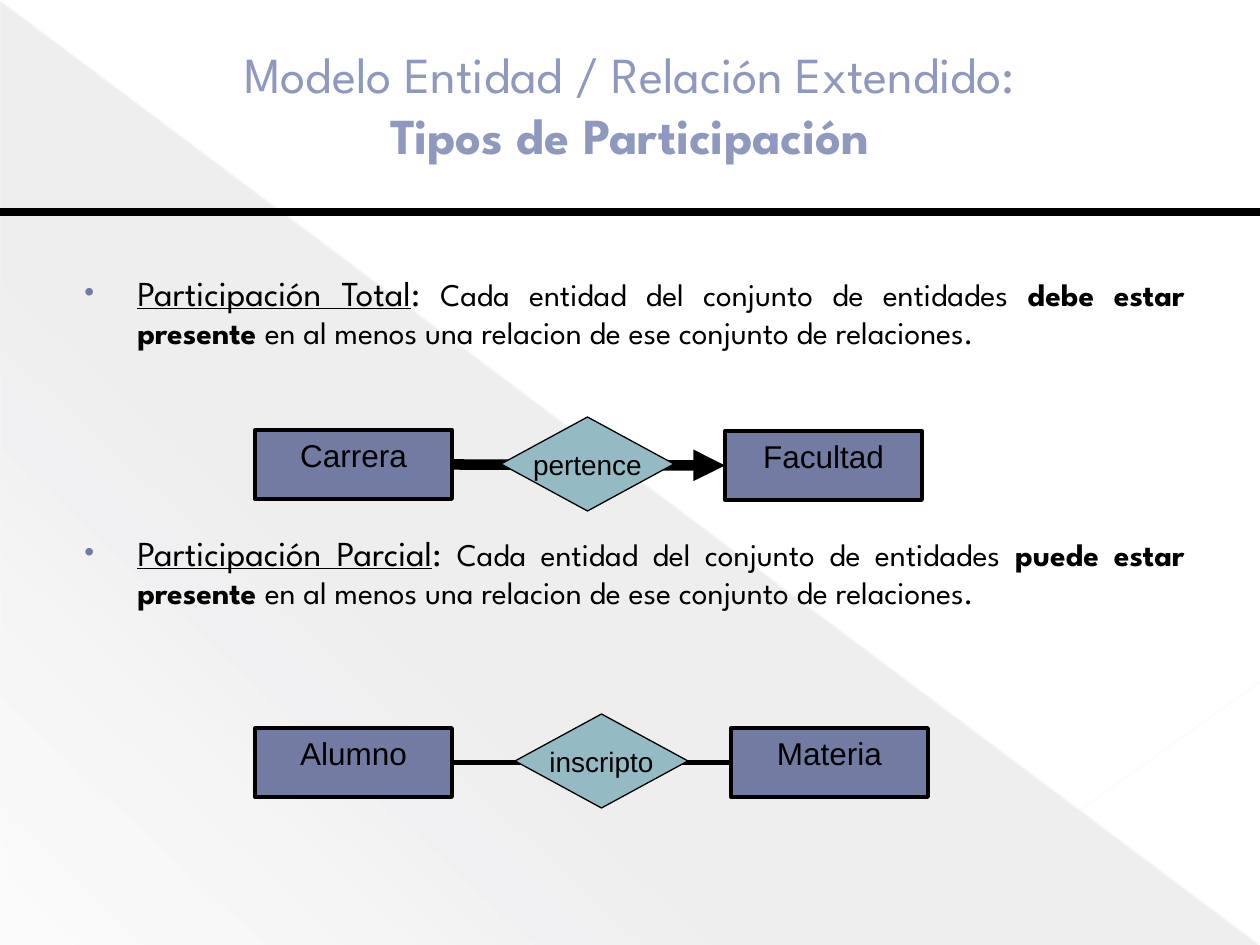
import pptx
import pptx.util
import pptx.dml.color
import pptx.enum.shapes
import pptx.enum.text
import pptx.oxml
import pptx.oxml.ns

PX = 914400 / 126
FONT = "League Spartan"
BLACK = "000000"
NS = pptx.oxml.ns.nsdecls("a")
SHAPES = pptx.enum.shapes.MSO_SHAPE
ALIGN = pptx.enum.text.PP_ALIGN
ANCHOR = pptx.enum.text.MSO_ANCHOR


def px(*lengths):
    """Turn pixel lengths into EMU."""
    return [round(length * PX) for length in lengths]


def paint(color_format, color):
    """Set a fill's, line's or font's colour from a hex string."""
    color_format.rgb = pptx.dml.color.RGBColor.from_string(color)


deck = pptx.Presentation()
deck.slide_width, deck.slide_height = px(1260, 945)
page = deck.slides.add_slide(deck.slide_layouts[6])

# Background triangle with a translucent gradient
triangle = page.shapes.add_shape(SHAPES.RIGHT_TRIANGLE, *px(1, 2, 1258, 943))
triangle.shadow.inherit = False
triangle.line.fill.background()
stops = "".join(
    f'<a:gs pos="{place * 1000}"><a:srgbClr val="464653">'
    f'<a:alpha val="{alpha * 1000}"/></a:srgbClr></a:gs>'
    for place, alpha in [(0, 10), (70, 8), (100, 1)]
)
triangle._element.spPr.find(pptx.oxml.ns.qn("a:prstGeom")).addnext(pptx.oxml.parse_xml(
    f'<a:gradFill {NS} rotWithShape="1"><a:gsLst>{stops}</a:gsLst>'
    '<a:lin ang="7980000" scaled="0"/></a:gradFill>'
))

# Background lines: ends, colour, width, opacity in percent
for ends, color, width, opacity in [
    ((0, 1, 1259, 944), "E9F6F9", 0.39, 35),
    ((1260, 682, 891, 944), "EBF6F9", 0.47, 45),
    ((0, 212, 1260, 212), BLACK, 4.5, 100),
]:
    rule = page.shapes.add_connector(pptx.enum.shapes.MSO_CONNECTOR.STRAIGHT, *px(*ends))
    rule.line.width = pptx.util.Pt(width)
    paint(rule.line.color, color)
    if opacity < 100:
        tint = rule.line._ln.find(".//" + pptx.oxml.ns.qn("a:srgbClr"))
        tint.append(pptx.oxml.parse_xml(f'<a:alpha {NS} val="{opacity * 1000}"/>'))
    rule._element.spPr.append(pptx.oxml.parse_xml(f"<a:effectLst {NS}/>"))

# Title
box = page.shapes.add_textbox(*px(63, 37, 1134, 193))
box.text_frame.word_wrap = True
para = box.text_frame.paragraphs[0]
for text, bold in [("Modelo Entidad / Relación Extendido:", False), ("Tipos de Participación", True)]:
    if bold:
        para = box.text_frame.add_paragraph()
    para.alignment = ALIGN.CENTER
    span = para.add_run()
    span.text = text
    span.font.name = FONT
    span.font.size = pptx.util.Pt(28.8)
    span.font.bold = bold
    paint(span.font.color, "8F98BF")

# Definitions
box = page.shapes.add_textbox(*px(63, 265, 1134, 630))
box.text_frame.word_wrap = True
for index, (kind, verb) in enumerate([("Total", "debe"), ("Parcial", "puede")]):
    para = box.text_frame.add_paragraph() if index else box.text_frame.paragraphs[0]
    para.alignment = ALIGN.JUSTIFY
    para.space_before = pptx.util.Pt(103 * index)
    properties = para._p.get_or_add_pPr()
    indent, hanging = px(62, -53)
    properties.set("marL", str(indent))
    properties.set("indent", str(hanging))
    for bullet in ['buClr {}><a:srgbClr val="727CA3"/></a:buClr>', 'buSzPct {} val="80000"/>',
                   'buFont {} typeface="Arial"/>', 'buChar {} char="•"/>']:
        properties.append(pptx.oxml.parse_xml("<a:" + bullet.format(NS)))
    for text, size, underline, bold in [
        (f"Participación {kind}", 20, True, False),
        (": ", 20, False, False),
        ("Cada entidad del conjunto de entidades ", 18, False, False),
        (f"{verb} estar presente ", 18, False, True),
        ("en al menos una relacion de ese conjunto de relaciones.", 18, False, False),
    ]:
        span = para.add_run()
        span.text = text
        span.font.name = FONT
        span.font.size = pptx.util.Pt(size)
        span.font.underline = underline
        span.font.bold = bold
        paint(span.font.color, BLACK)

# Diagrams: entity, relationship, entity, joined by a line behind the diamond
ENTITY = (SHAPES.RECTANGLE, 197, 69, "727CA3", 2.25, 18)
RELATION = (SHAPES.DIAMOND, 173, 94, "94BAC3", 0.75, 16)
for row, line_width, has_arrow in [
    ([("Carrera", 255, 430), ("Facultad", 725, 431), ("pertence", 501, 417)], 6, True),
    ([("Alumno", 255, 728), ("Materia", 731, 728), ("inscripto", 515, 714)], 3, False),
]:
    nodes = []
    for (name, left, top), style in zip(row, [ENTITY, ENTITY, RELATION]):
        preset, width, height, fill, border, size = style
        if style is RELATION:
            link = page.shapes.add_connector(pptx.enum.shapes.MSO_CONNECTOR.STRAIGHT, 0, 0, 0, 0)
            link.begin_connect(nodes[0], 3)
            link.end_connect(nodes[1], 1)
            link.line.width = pptx.util.Pt(line_width)
            paint(link.line.color, BLACK)
            if has_arrow:
                link.line._ln.append(pptx.oxml.parse_xml(f'<a:tailEnd {NS} type="triangle"/>'))
            link._element.spPr.append(pptx.oxml.parse_xml(f"<a:effectLst {NS}/>"))
        node = page.shapes.add_shape(preset, *px(left, top, width, height))
        node.shadow.inherit = False
        node.fill.solid()
        paint(node.fill.fore_color, fill)
        node.line.width = pptx.util.Pt(border)
        paint(node.line.color, BLACK)
        frame = node.text_frame
        frame.word_wrap = style is ENTITY
        frame.vertical_anchor = ANCHOR.TOP if style is ENTITY else ANCHOR.MIDDLE
        para = frame.paragraphs[0]
        para.alignment = ALIGN.CENTER
        span = para.add_run()
        span.text = name
        span.font.name = "Arial"
        span.font.size = pptx.util.Pt(size)
        paint(span.font.color, BLACK)
        nodes.append(node)

deck.save("out.pptx")
